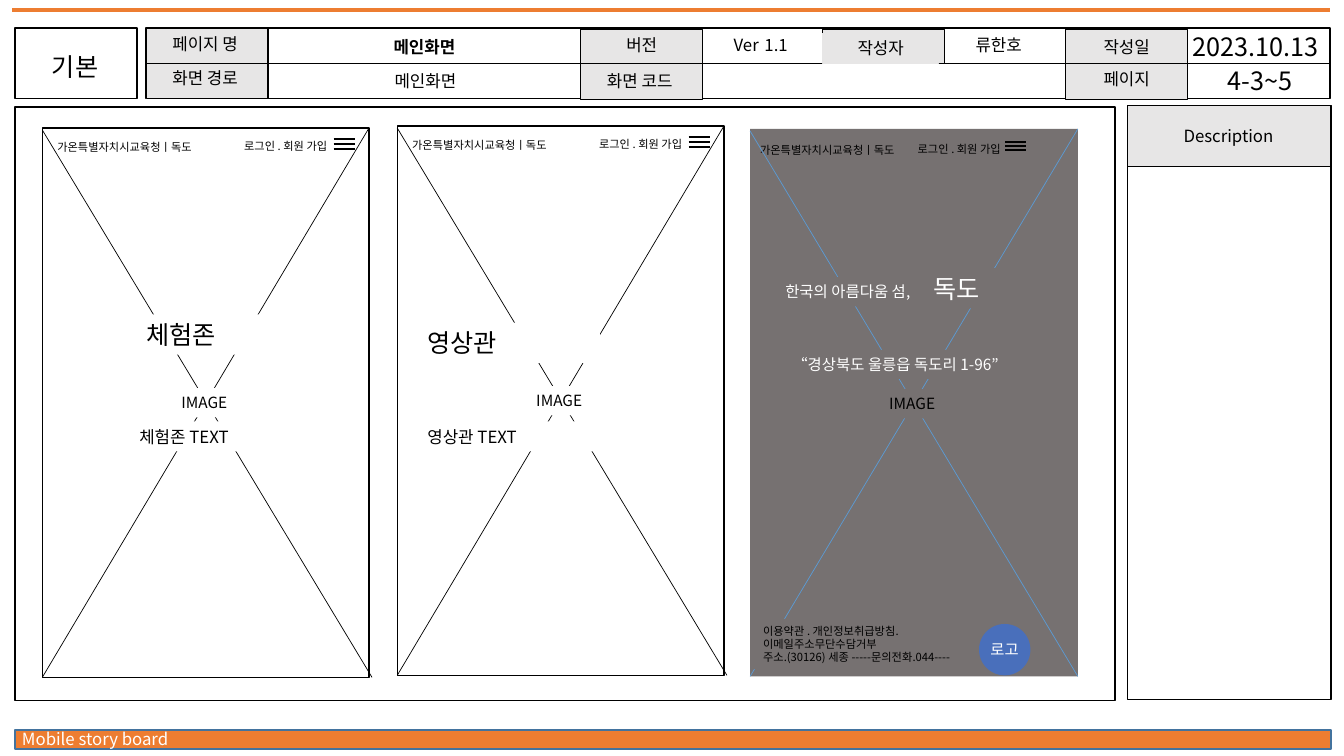
"""Build a mobile storyboard slide with a header, three phone screens and a description panel."""
from pptx import Presentation
from pptx import util as u
from pptx.dml.color import RGBColor
from pptx.enum import shapes, text
from pptx.oxml.ns import qn
from lxml import etree

FONT = "Noto Sans CJK KR"
BLACK, WHITE, ORANGE = "000000", "FFFFFF", "ED7D31"
LIGHT, GRAY, BLUE = "E7E6E6", "767171", "5B9BD5"
LEFT, CENTER, RIGHT = text.PP_ALIGN.LEFT, text.PP_ALIGN.CENTER, text.PP_ALIGN.RIGHT
RECT, OVAL = shapes.MSO_SHAPE.RECTANGLE, shapes.MSO_SHAPE.OVAL


def paint(fmt, color):
    """Give a fill or font colour format a solid hex colour."""
    if hasattr(fmt, "solid"):
        fmt.solid()
        fmt = fmt.fore_color
    fmt.rgb = RGBColor.from_string(color)


def shape(s, x, y, w, h, fill=None, line=BLACK, kind=RECT, width=1):
    """Add a preset shape without shadow."""
    sp = s.shapes.add_shape(kind, *map(u.Inches, (x, y, w, h)))
    sp.shadow.inherit = False
    if fill:
        paint(sp.fill, fill)
    else:
        sp.fill.background()
    if line:
        paint(sp.line.fill, line)
        sp.line.width = u.Pt(width)
    else:
        sp.line.fill.background()
    return sp


def rule(s, x1, y1, x2, y2, color=BLACK, width=1):
    """Add a straight line without shadow."""
    c = s.shapes.add_connector(shapes.MSO_CONNECTOR.STRAIGHT, *map(u.Inches, (x1, y1, x2, y2)))
    paint(c.line.fill, color)
    c.line.width = u.Pt(width)
    etree.SubElement(c._element.spPr, qn("a:effectLst"))


def write(sp, words, size=12, color=BLACK, align=CENTER, bold=False):
    """Fill a shape with one paragraph for each line of words."""
    tf = sp.text_frame
    tf.word_wrap = True
    tf.text = words
    for p in tf.paragraphs:
        p.alignment = align
        p.font.name, p.font.size, p.font.bold = FONT, u.Pt(size), bold
        paint(p.font.color, color)
        latin = p._p.pPr.find(qn("a:defRPr")).find(qn("a:latin"))
        ea = etree.Element(qn("a:ea"), typeface=FONT)
        latin.addnext(ea)
    return tf


def label(s, words, x, y, w, h=0.3, size=12, color=BLACK, align=CENTER, fill=None):
    """Add a text box, filled when it masks what lies behind it."""
    sp = s.shapes.add_textbox(*map(u.Inches, (x, y, w, h)))
    if fill:
        paint(sp.fill, fill)
    write(sp, words, size, color, align)
    return sp


def page_title(s, words, x, y, w, h):
    """Place the page name in the title placeholder."""
    sp = s.shapes.title
    sp.left, sp.top, sp.width, sp.height = map(u.Inches, (x, y, w, h))
    tf = write(sp, words, bold=True)
    tf.auto_size = text.MSO_AUTO_SIZE.NONE
    tf.vertical_anchor = text.MSO_ANCHOR.TOP


def header(s, x, y, w, h):
    """Draw the project cell and the page information grid."""
    shape(s, x, y, 1.21, h)
    label(s, "기본", x + 0.02, y + 0.18, 1.15, 0.42, 18)
    grid, middle = x + 1.3, y + 0.35
    shape(s, grid, y, w - 1.3, h)
    for dx, dy, height in ((0, 0, h), (4.31, 0.01, h), (6.71, 0.01, 0.34), (9.12, 0.01, h)):
        shape(s, grid + dx, y + dy, 1.21, height, LIGHT)
    rule(s, grid, middle, x + w, middle, width=0.5)
    page_title(s, "메인화면", grid + 1.61, y + 0.03, 2.3, 0.3)
    cells = (("페이지 명", 0.01, 0.01, 1.15), ("화면 경로", 0.01, 0.34, 1.15),
             ("메인화면", 1.62, 0.37, 2.3), ("버전", 4.34, 0.02, 1.15),
             ("화면 코드", 4.32, 0.37, 1.15), ("작성자", 6.71, 0.05, 1.15),
             ("류한호", 7.45, 0.02, 2.01), ("작성일", 9.15, 0.04, 1.15),
             ("페이지", 9.15, 0.35, 1.15))
    for words, dx, dy, width in cells:
        sp = label(s, words, grid + dx, y + dy, width)
        if words == "작성자":
            paint(sp.line.fill, LIGHT)
            sp.line.width = u.Pt(0.75)
    label(s, "2023.10.13", grid + 10, y - 0.02, 2.01, 0.4, 18)
    label(s, "4-3~5", grid + 10.35, y + 0.32, 1.39, 0.4, 18)
    p = label(s, "Ver", grid + 5.09, y - 0.07, 2.01, 0.4).text_frame.paragraphs[0]
    for words, size in ((" ", 18), ("1.1", 12)):
        r = p.add_run()
        r.text = words
        r.font.size = u.Pt(size)


def phone(s, x, y, w, h, labels, top=0.07, login=1.71, menu=2.89, gap=0.05,
          fill=None, line=BLACK, cross=BLACK):
    """Draw a phone screen with its menu, crossed image area and labels."""
    shape(s, x, y, w, h, fill, line)
    inset = 0 if fill else 0.05
    label(s, "가온특별자치시교육청ㅣ독도", x + inset, y + top, 1.87, 0.24, 8, align=LEFT)
    label(s, "로그인 . 회원 가입 ", x + login, y + top - 0.01, 1.24, 0.24, 8, align=RIGHT)
    for i in range(3):
        bar = y + top + 0.04 + i * gap
        rule(s, x + menu, bar, x + menu + 0.21, bar)
    rule(s, x, y + h, x + w, y, cross, 0.5)
    rule(s, x, y + 0.02, x + w + (0 if fill else 0.03), y + h, cross, 0.5)
    back = fill or WHITE
    label(s, "IMAGE", x + 1.28, y + 2.58, 0.68, 0.29, 11, align=LEFT, fill=back)
    for words, dx, dy, width, height, size, color, align in labels:
        label(s, words, x + dx, y + dy, width, height, size, color, align, back)


def logo_badge(s, x, y, d):
    """Draw the round logo stand-in."""
    sp = shape(s, x, y, d, d, "496FBB", None, OVAL)
    tf = write(sp, "로고", 11, WHITE)
    tf.word_wrap = False
    tf.vertical_anchor = text.MSO_ANCHOR.MIDDLE


def board(s, x, y, w, h):
    """Draw the storyboard frame with its three phone screens."""
    shape(s, x, y, w, h)
    phone(s, x + 3.79, y + 0.19, 3.24, 5.45, (
        ("영상관", 0.2, 1.95, 1.81, 0.4, 18, BLACK, LEFT),
        ("영상관 TEXT", 0.2, 2.93, 1.81, 0.3, 12, BLACK, LEFT)))
    phone(s, x + 0.27, y + 0.21, 3.24, 5.45, (
        ("체험존", 0.47, 1.85, 1.81, 0.4, 18, BLACK, CENTER),
        ("체험존 TEXT", 0.5, 2.91, 1.81, 0.3, 12, BLACK, CENTER)))
    terms = ("이용약관 . 개인정보취급방침.이메일주소무단수담거부\n"
             "주소.(30126) 세종 -----문의전화.044----")
    phone(s, x + 7.29, y + 0.22, 3.25, 5.43, (
        ("한국의 아름다움 섬,", 0.25, 1.47, 1.58, 0.29, 11, WHITE, LEFT),
        (terms, 0.03, 4.86, 2.19, 0.5, 8, BLACK, LEFT),
        ("독도", 1.72, 1.38, 0.71, 0.4, 18, WHITE, LEFT),
        ("“경상북도 울릉읍 독도리 1-96”", 0.32, 2.19, 2.42, 0.29, 11, WHITE, LEFT)),
        top=0.09, login=1.37, menu=2.53, gap=0.04, fill=GRAY, line=None, cross=BLUE)
    logo_badge(s, x + 9.56, y + 5.13, 0.51)


def description(s, x, y, w, h):
    """Draw the empty description panel."""
    shape(s, x, y, w, h)
    shape(s, x, y, w, 0.6, LIGHT)
    label(s, "Description", x + 0.14, y + 0.15, 1.73)


def footer(s, x, y, w, h):
    """Draw the bottom bar with the document name."""
    shape(s, x, y, w, h, ORANGE, "43739E")
    label(s, "Mobile story board", x - 0.03, y - 0.06, 3.2, color=WHITE, align=LEFT)


def main():
    """Build and save the slide."""
    prs = Presentation()
    prs.slide_width, prs.slide_height = u.Inches(13.33), u.Inches(7.5)
    s = prs.slides.add_slide(prs.slide_layouts[5])
    rule(s, 0.12, 0.1, 13.19, 0.1, ORANGE, 3)
    footer(s, 0.15, 7.24, 13.05, 0.19)
    header(s, 0.15, 0.28, 13.04, 0.7)
    board(s, 0.15, 1.06, 10.91, 5.89)
    description(s, 11.18, 1.05, 2.02, 5.89)
    prs.save("out.pptx")


main()
